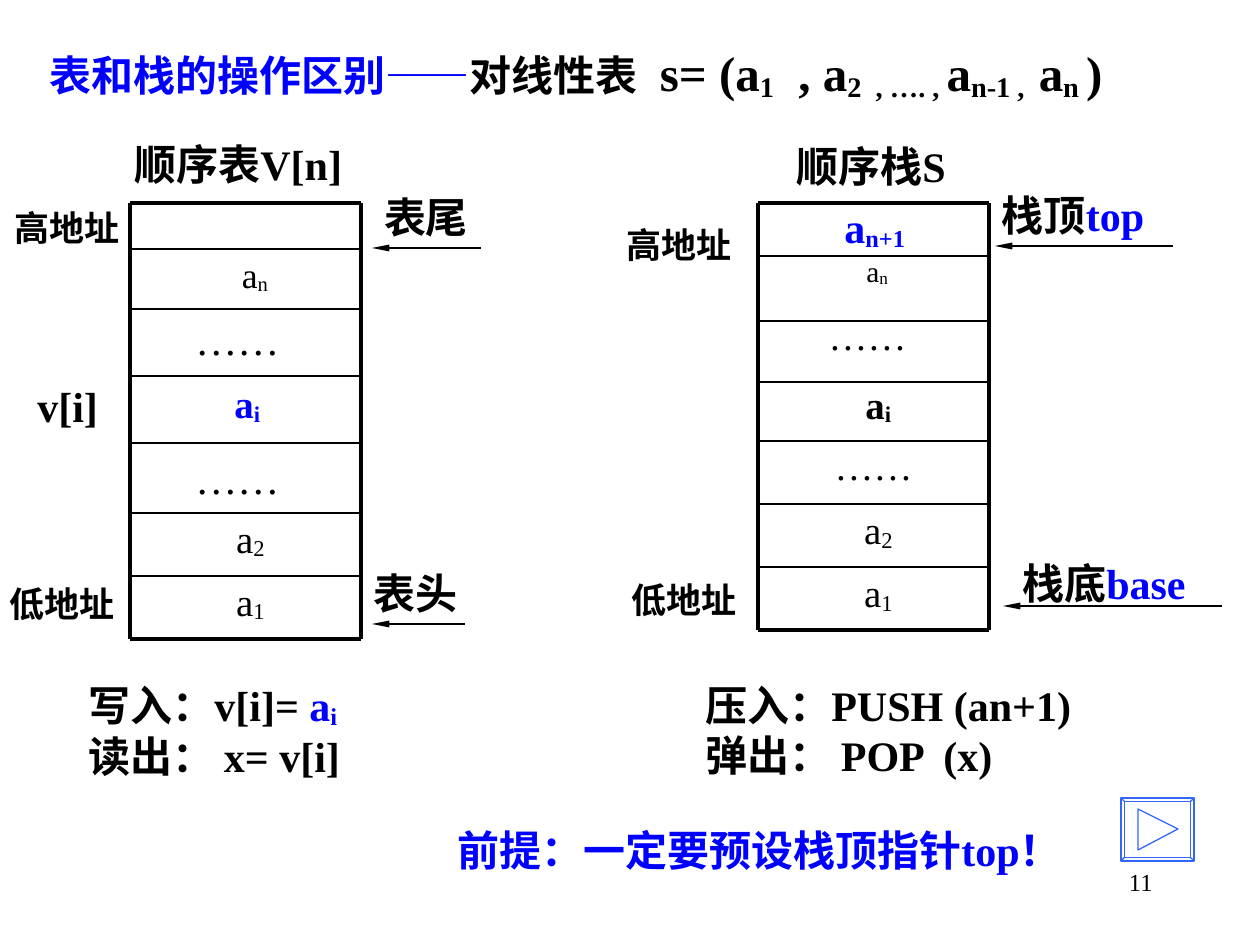
from dataclasses import dataclass

from lxml.etree import SubElement
from pptx import Presentation
from pptx.dml.color import RGBColor
from pptx.enum.shapes import MSO_CONNECTOR, MSO_SHAPE
from pptx.enum.text import MSO_ANCHOR, MSO_AUTO_SIZE, PP_ALIGN
from pptx.oxml.ns import qn
from pptx.util import Pt


@dataclass(frozen=True)
class Theme:
    font: str = "Times New Roman"
    ink: RGBColor = RGBColor(0, 0, 0)
    accent: RGBColor = RGBColor(0, 0, 255)
    button: RGBColor = RGBColor(0x33, 0x66, 0xFF)
    formula: float = 28
    body: float = 24
    cell: float = 22.2
    last_cell: float = 20.4
    label: float = 20
    small_cell: float = 16.8
    number: float = 14
    frame: float = 2.25
    rule: float = 1
    thin: float = 0.75


THEME = Theme()
INK, BLUE = THEME.ink, THEME.accent
SCALE = 914400 / 126
SUB, TITLE_SUB = -10, -12
CELL_HEIGHT = 63
LEFT, CENTER, RIGHT = PP_ALIGN.LEFT, PP_ALIGN.CENTER, PP_ALIGN.RIGHT

TITLE_BOX = (37, 28, 1121, 89)
TITLE = [
    ("表和栈的操作区别——", BLUE, 0, THEME.body),
    ("对线性表", INK, 0, THEME.body),
    ("  s= (a", INK, 0), ("1", INK, TITLE_SUB),
    ("  , a", INK, 0), ("2  , …. , ", INK, TITLE_SUB),
    ("a", INK, 0), ("n-1 ,  ", INK, TITLE_SUB),
    ("a", INK, 0), ("n ", INK, TITLE_SUB), (")", INK, 0),
]


def indexed(index, color=INK):
    return [(" a", color, 0), (index, color, SUB)]


DOTS = [("……", INK, 0)]

COLUMNS = [
    {
        "left": 130, "right": 361,
        "rules": [203, 249, 309, 376, 443, 513, 576, 639],
        "cells": [
            (1, 5, 2, indexed("n"), THEME.last_cell, False, 0.9),
            (2, -8, -2, DOTS, THEME.body, False, 1),
            (3, -3, 2, indexed("i", BLUE), THEME.cell, True, 0.9),
            (4, -8, 3, DOTS, THEME.body, False, 1),
            (5, 0, 0, indexed("2"), THEME.cell, False, 0.9),
            (6, 0, 0, indexed("1"), THEME.cell, False, 0.9),
        ],
    },
    {
        "left": 758, "right": 989,
        "rules": [203, 256, 321, 382, 441, 504, 567, 630],
        "cells": [
            (0, -4, -8, indexed("n+1", BLUE), THEME.body, True, 1),
            (1, 0, -3, indexed("n"), THEME.small_cell, False, 0.8),
            (2, -6, -10, DOTS, THEME.cell, False, 0.9),
            (3, 0, -3, indexed("i"), THEME.cell, True, 0.9),
            (4, 0, 0, DOTS, THEME.cell, False, 0.9),
            (5, 0, 0, indexed("2"), THEME.cell, False, 0.9),
            (6, 0, 0, indexed("1"), THEME.cell, False, 0.9),
        ],
    },
]

HEADINGS = [
    ((122, 132, 290, 63), [("顺序表V[n]", INK, 0)]),
    ((784, 134, 240, 63), [("顺序栈S", INK, 0)]),
    ((25, 374, 100, 63), [("v[i]", INK, 0)]),
]
POINTERS = [
    ((352, 185, 148, 63), [("表尾", INK, 0)], (481, 372, 248)),
    ((342, 561, 148, 63), [("表头", INK, 0)], (465, 372, 624)),
    ((964, 183, 218, 63), [("栈顶", INK, 0), ("top", BLUE, 0)], (1173, 995, 246)),
    ((984, 551, 240, 63), [("栈底", INK, 0), ("base", BLUE, 0)], (1222, 1003, 606)),
]
ADDRESSES = [
    ((0, 200, 135, 55), "高地址"), ((-5, 576, 135, 55), "低地址"),
    ((612, 217, 135, 55), "高地址"), ((617, 572, 135, 55), "低地址"),
]
OPERATIONS = [
    ((76, 673, 320, 115), [
        [("写入：v[i]= ", INK, 0), ("a", BLUE, 0), ("i", BLUE, SUB)],
        [("读出： x= v[i]", INK, 0)],
    ]),
    ((693, 673, 415, 113), [
        [("压入：PUSH (an+1)", INK, 0)],
        [("弹出： POP  (x)", INK, 0)],
    ]),
    ((445, 818, 636, 63), [[("前提：一定要预设栈顶指针top！", BLUE, 0)]]),
]
PAGE_NUMBER = ((903, 861, 262, 63), "11")
BUTTON_BOX = (1121, 798, 73, 63)
BUTTON_ARROW = [(1138, 809), (1178, 829), (1138, 850)]


def px(value):
    return round(value * SCALE)


def place(shape, box):
    shape.left, shape.top, shape.width, shape.height = map(px, box)


def write(para, spans, size, bold):
    for text, color, baseline, *own_size in spans:
        span = para.add_run()
        span.text = text
        font = span.font
        font.name = THEME.font
        font.size = Pt(own_size[0] if own_size else size)
        font.bold = bold
        font.color.rgb = color
        if baseline:
            span._r.get_or_add_rPr().set("baseline", str(baseline * 1000))


def add_text(page, box, paragraphs, size=THEME.body, bold=True, align=LEFT,
             spacing=1, anchor=MSO_ANCHOR.TOP):
    shape = page.shapes.add_textbox(*map(px, box))
    frame = shape.text_frame
    frame.word_wrap = True
    frame.vertical_anchor = anchor
    for number, spans in enumerate(paragraphs):
        para = frame.add_paragraph() if number else frame.paragraphs[0]
        para.alignment = align
        para.line_spacing = spacing
        write(para, spans, size, bold)


def add_line(page, start, end, width, arrow=False):
    line = page.shapes.add_connector(MSO_CONNECTOR.STRAIGHT, *map(px, start + end))
    line.line.color.rgb = INK
    line.line.width = Pt(width)
    if arrow:
        head = SubElement(line.line._get_or_add_ln(), qn("a:tailEnd"))
        for key, value in (("type", "triangle"), ("w", "sm"), ("len", "lg")):
            head.set(key, value)
    SubElement(line._element.spPr, qn("a:effectLst"))


def add_column(page, column):
    left, right, rules = column["left"], column["right"], column["rules"]
    for y in rules:
        width = THEME.frame if y in (rules[0], rules[-1]) else THEME.rule
        add_line(page, (left, y), (right, y), width)
    for x in (left, right):
        add_line(page, (x, rules[0]), (x, rules[-1]), THEME.frame)
    for row, shift_x, shift_y, spans, size, bold, spacing in column["cells"]:
        box = (left + shift_x, rules[row] + shift_y, right - left, CELL_HEIGHT)
        add_text(page, box, [spans], size, bold, CENTER, spacing)


def add_button(page):
    bevel = page.shapes.add_shape(MSO_SHAPE.BEVEL, *map(px, BUTTON_BOX))
    bevel.adjustments[0] = 0.06
    builder = page.shapes.build_freeform(*BUTTON_ARROW[0], scale=SCALE)
    builder.add_line_segments(BUTTON_ARROW[1:], close=True)
    for shape in (bevel, builder.convert_to_shape()):
        shape.shadow.inherit = False
        shape.fill.background()
        shape.line.color.rgb = THEME.button
        shape.line.width = Pt(THEME.thin)


def main():
    deck = Presentation()
    deck.slide_width, deck.slide_height = px(1260), px(945)
    page = deck.slides.add_slide(deck.slide_layouts[5])

    title = page.shapes.title
    place(title, TITLE_BOX)
    frame = title.text_frame
    frame.auto_size = MSO_AUTO_SIZE.NONE
    frame.vertical_anchor = MSO_ANCHOR.MIDDLE
    frame.paragraphs[0].alignment = LEFT
    write(frame.paragraphs[0], TITLE, THEME.formula, True)

    for column in COLUMNS:
        add_column(page, column)
    for box, spans in HEADINGS:
        add_text(page, box, [spans])
    for box, spans, (start, end, y) in POINTERS:
        add_text(page, box, [spans], align=CENTER, anchor=MSO_ANCHOR.MIDDLE)
        add_line(page, (start, y), (end, y), THEME.thin, arrow=True)
    for box, label in ADDRESSES:
        add_text(page, box, [[(label, INK, 0)]], THEME.label, align=CENTER,
                 anchor=MSO_ANCHOR.MIDDLE)
    for box, paragraphs in OPERATIONS:
        add_text(page, box, paragraphs)
    box, number = PAGE_NUMBER
    add_text(page, box, [[(number, INK, 0)]], THEME.number, False, RIGHT)
    add_button(page)
    deck.save("out.pptx")


if __name__ == "__main__":
    main()
